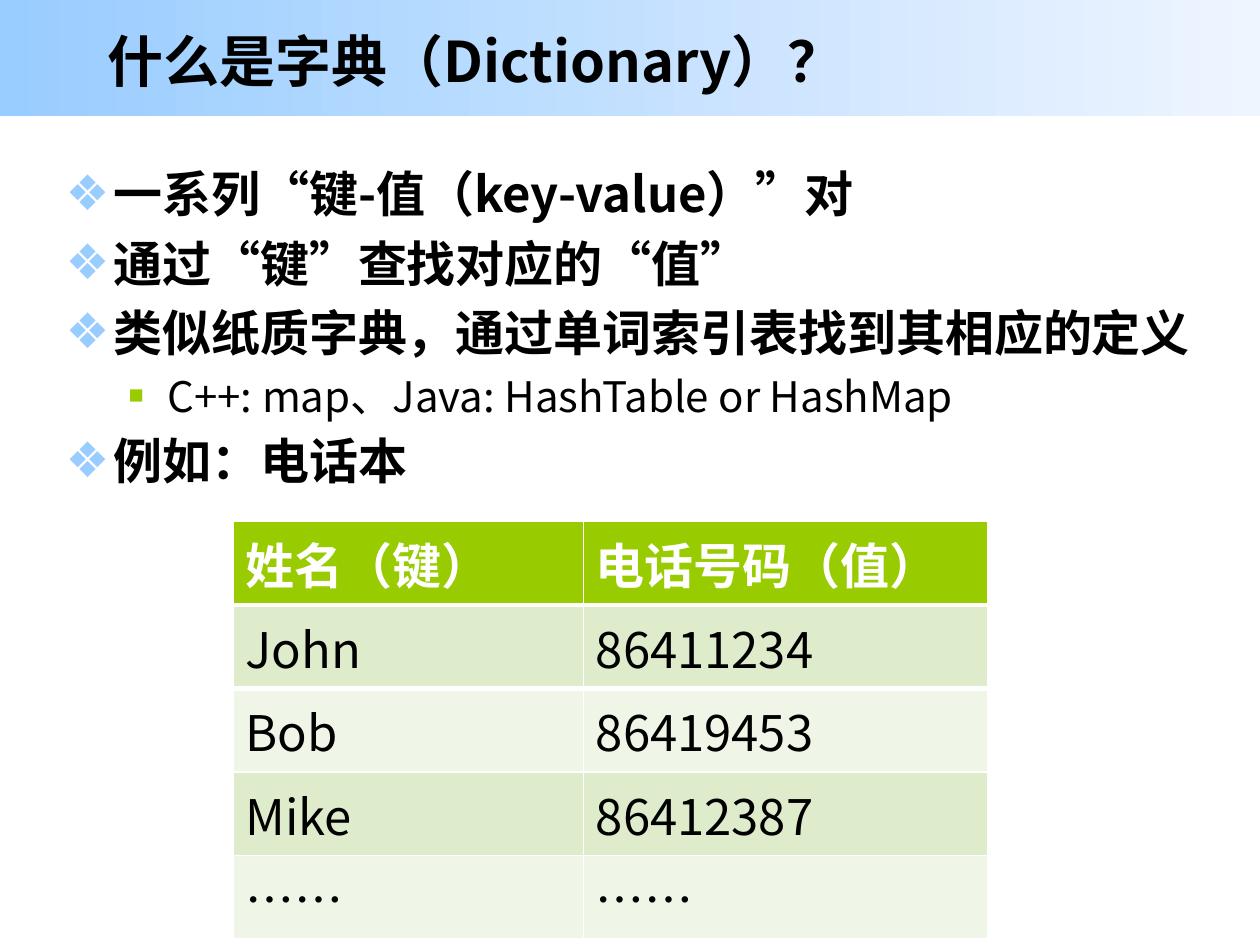
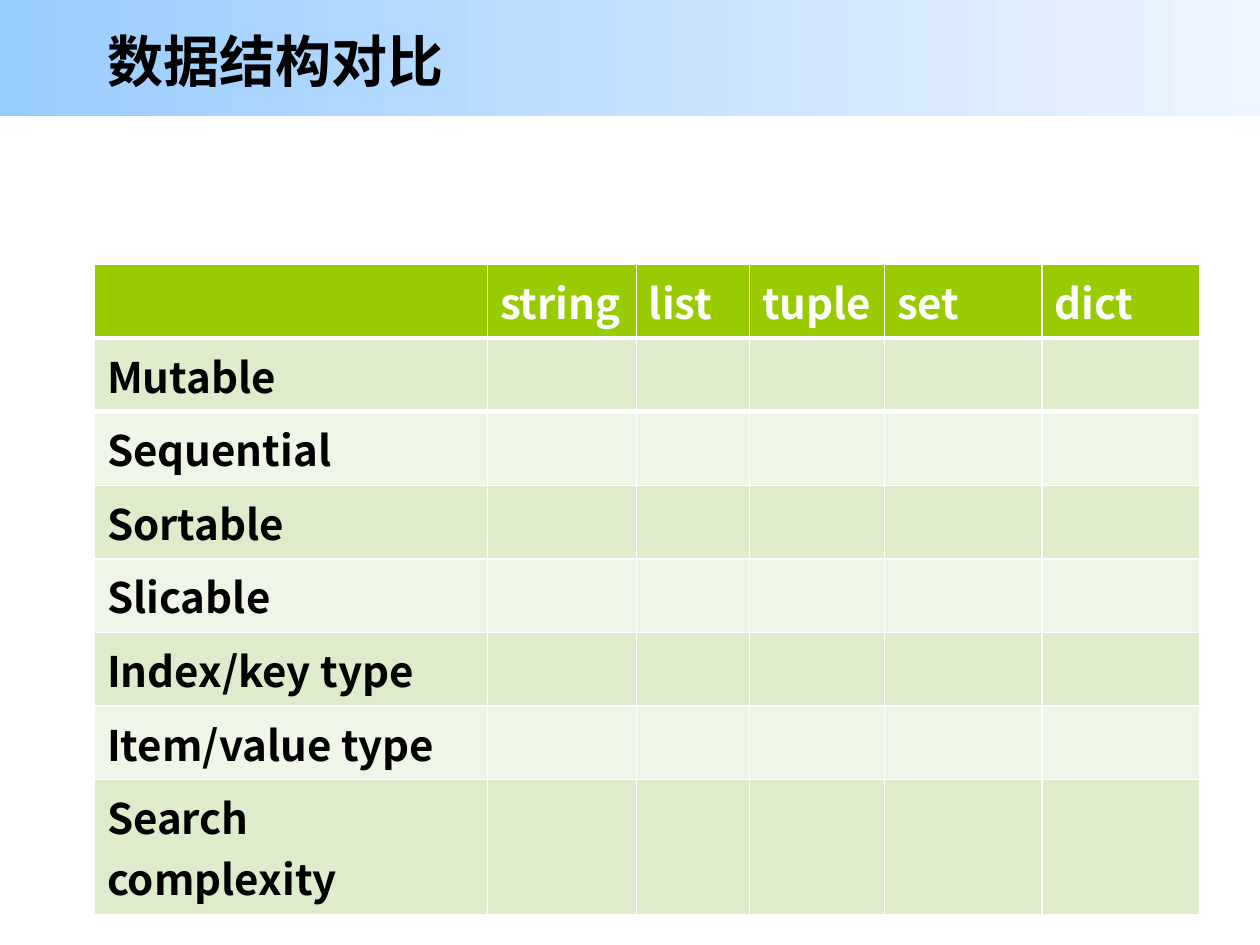
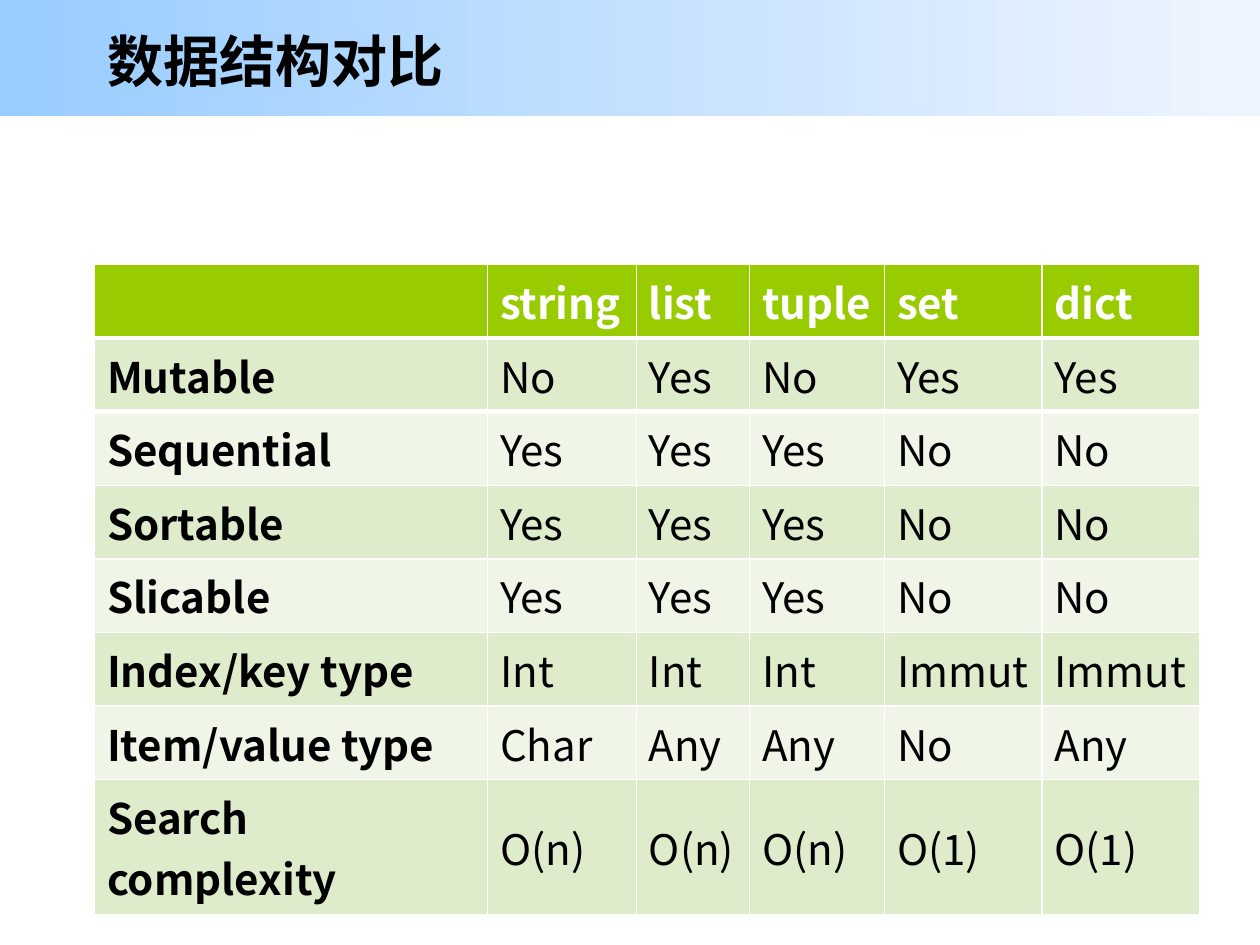
from lxml import etree
from pptx import Presentation, util as u
from pptx.dml.color import RGBColor
from pptx.enum import shapes, text
from pptx.oxml.ns import qn

FONT = "Noto Sans CJK SC"
SKY, PALE_SKY, GREEN = "99CCFF", "EEF5FF", "99CC00"
BLACK, WHITE = "000000", "FFFFFF"
BAND_FILLS = ["EFF6E7", "DEECCC"]
rgb = RGBColor.from_string


def set_font(paragraph, size, bold=True, colour=BLACK):
    """Format a paragraph, with the same typeface for Latin and Chinese."""
    font = paragraph.font
    font.size, font.bold, font.name = u.Pt(size), bold, FONT
    font.color.rgb = rgb(colour)
    defaults = paragraph._p.pPr.find(qn("a:defRPr"))
    etree.SubElement(defaults, qn("a:ea"), typeface=FONT)


def add_grid(slide, left, top, widths, heights, rows, size, bold_labels):
    """Add a table with banded rows and a green header over a thick white rule."""
    frame = slide.shapes.add_table(
        len(rows), len(widths), u.Inches(left), u.Inches(top),
        u.Inches(sum(widths)), u.Inches(sum(heights)))
    table = frame.table
    for column, width in zip(table.columns, widths):
        column.width = u.Inches(width)
    for r, (row, height) in enumerate(zip(rows, heights)):
        table.rows[r].height = u.Inches(height)
        for c, label in enumerate(row):
            cell = table.cell(r, c)
            cell.fill.solid()
            cell.fill.fore_color.rgb = rgb(BAND_FILLS[r % 2] if r else GREEN)
            cell.vertical_anchor = text.MSO_ANCHOR.MIDDLE
            cell.text = label
            set_font(cell.text_frame.paragraphs[0], size,
                     r == 0 or (bold_labels and c == 0), BLACK if r else WHITE)
            if r < 2:
                rule = etree.Element(qn("a:lnT" if r else "a:lnB"), w=str(u.Pt(3)))
                paint = etree.SubElement(rule, qn("a:solidFill"))
                etree.SubElement(paint, qn("a:srgbClr"), val=WHITE)
                cell._tc.get_or_add_tcPr().insert(0, rule)


prs = Presentation()
prs.slide_width, prs.slide_height = u.Inches(10), u.Inches(7.5)
BULLETED, TITLE_ONLY = prs.slide_layouts[1], prs.slide_layouts[5]

# Titles
slides = []
for layout, heading in [(BULLETED, "什么是字典（Dictionary）？"),
                        (TITLE_ONLY, "数据结构对比"),
                        (TITLE_ONLY, "数据结构对比")]:
    slide = prs.slides.add_slide(layout)
    title = slide.shapes.title
    title.left, title.top = u.Inches(0.75), u.Inches(0.14)
    title.width, title.height = u.Inches(8.14), u.Inches(0.67)
    title.text = heading
    title.text_frame.vertical_anchor = text.MSO_ANCHOR.MIDDLE
    title.text_frame.auto_size = text.MSO_AUTO_SIZE.NONE
    title.text_frame.paragraphs[0].alignment = text.PP_ALIGN.LEFT
    set_font(title.text_frame.paragraphs[0], 32)
    slides.append(slide)
dictionary, questions, answers = slides

# Title band and white panel, moved to the master so that every slide shows them
backdrop = []
for top, height in [(0, 0.92), (1.08, 4)]:
    area = dictionary.shapes.add_shape(
        shapes.MSO_SHAPE.RECTANGLE, 0, u.Inches(top),
        prs.slide_width, u.Inches(height))
    area.shadow.inherit = False
    area.line.fill.background()
    prs.slide_master.shapes.element.insert(2 + len(backdrop), area.element)
    backdrop.append(area)
band, panel = backdrop
band.fill.gradient()
band.fill.gradient_angle = 0
for stop, colour in zip(band.fill.gradient_stops, [SKY, PALE_SKY]):
    stop.color.rgb = rgb(colour)
panel.fill.solid()
panel.fill.fore_color.rgb = rgb(WHITE)

# What a dictionary is
points = [
    (0, "一系列“键-值（key-value）”对"),
    (0, "通过“键”查找对应的“值”"),
    (0, "类似纸质字典，通过单词索引表找到其相应的定义"),
    (1, "C++: map、Java: HashTable or HashMap"),
    (0, "例如：电话本"),
]
# By level: bullet, colour, bullet size, left margin, hanging indent, text size, gap
LEVELS = [("❖", SKY, 100, 0.38, 0.38, 28, 6), ("■", GREEN, 60, 0.81, 0.31, 24, 5)]
body = dictionary.placeholders[1]
body.left, body.top = u.Inches(0.42), u.Inches(1.25)
body.width, body.height = u.Inches(9.25), u.Inches(5.42)
body.text_frame.text = "\n".join(point for _, point in points)
body.text_frame.auto_size = text.MSO_AUTO_SIZE.NONE
for i, (paragraph, (level, _)) in enumerate(zip(body.text_frame.paragraphs, points)):
    bullet, colour, scale, margin, hanging, size, gap = LEVELS[level]
    paragraph.level = level
    paragraph.space_before = u.Pt(gap if i else 0)
    props = paragraph._p.get_or_add_pPr()
    props.set("marL", str(u.Inches(margin)))
    props.set("indent", str(-u.Inches(hanging)))
    bullet_colour = etree.SubElement(props, qn("a:buClr"))
    etree.SubElement(bullet_colour, qn("a:srgbClr"), val=colour)
    etree.SubElement(props, qn("a:buSzPct"), val=str(scale * 1000))
    etree.SubElement(props, qn("a:buChar"), char=bullet)
    set_font(paragraph, size, level == 0)

phone_book = [
    ["姓名（键）", "电话号码（值）"],
    ["John", "86411234"],
    ["Bob", "86419453"],
    ["Mike", "86412387"],
    ["……", "……"],
]
add_grid(dictionary, 1.85, 4.14, [2.78, 3.21], [0.66] * 5, phone_book, 28, False)

# Comparison of data structures: first to fill in, then with the answers
comparison = [
    ["", "string", "list", "tuple", "set", "dict"],
    ["Mutable", "No", "Yes", "No", "Yes", "Yes"],
    ["Sequential", "Yes", "Yes", "Yes", "No", "No"],
    ["Sortable", "Yes", "Yes", "Yes", "No", "No"],
    ["Slicable", "Yes", "Yes", "Yes", "No", "No"],
    ["Index/key type", "Int", "Int", "Int", "Immut", "Immut"],
    ["Item/value type", "Char", "Any", "Any", "No", "Any"],
    ["Search complexity", "O(n)", "O(n)", "O(n)", "O(1)", "O(1)"],
]
unanswered = comparison[:1] + [[row[0]] + [""] * 5 for row in comparison[1:]]
for slide, rows in [(questions, unanswered), (answers, comparison)]:
    add_grid(slide, 0.75, 2.1, [3.12, 1.18, 0.9, 1.07, 1.25, 1.25],
             [0.58] * 7 + [1.07], rows, 24, True)

prs.save("out.pptx")
